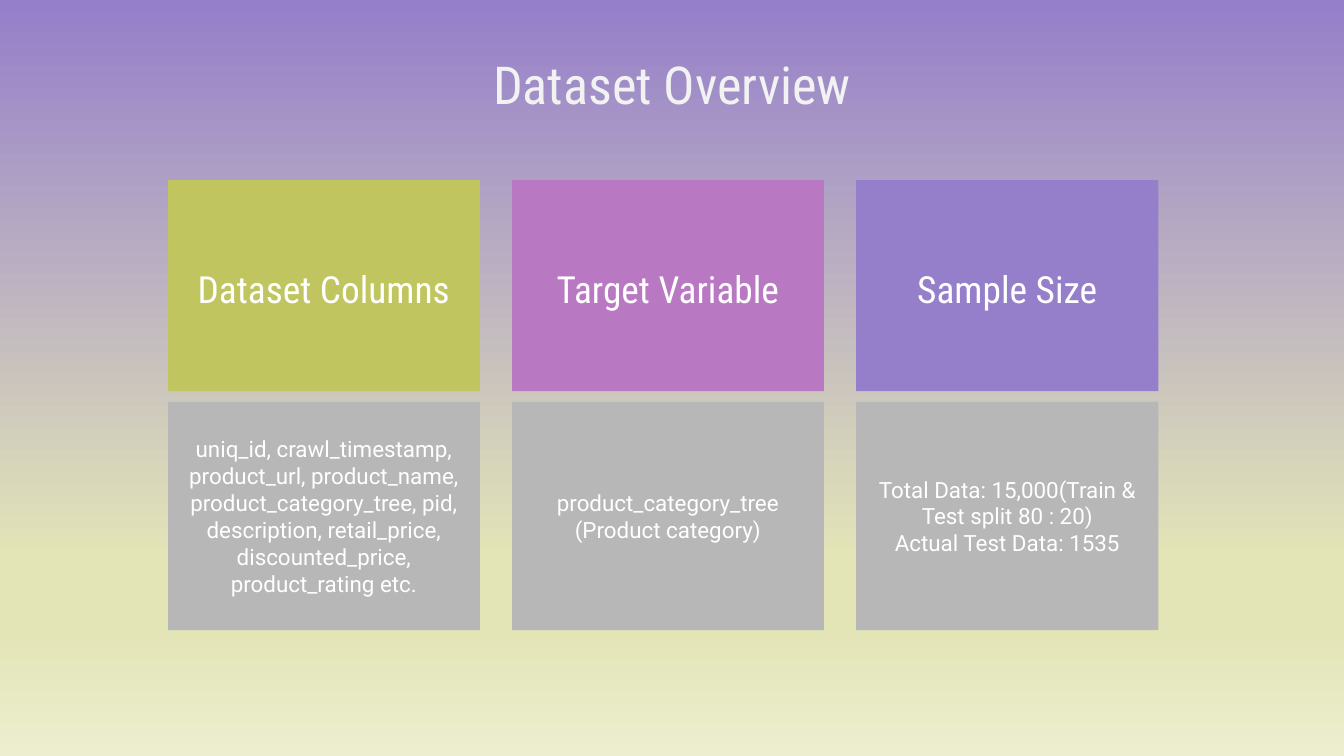
from lxml import etree
from pptx import Presentation
from pptx.dml.color import RGBColor
from pptx.enum.shapes import MSO_SHAPE
from pptx.enum.text import MSO_ANCHOR, PP_ALIGN
from pptx.oxml.ns import qn
from pptx.util import Inches, Pt

RECTANGLE = MSO_SHAPE.RECTANGLE
MIDDLE = MSO_ANCHOR.MIDDLE
CENTER = PP_ALIGN.CENTER

WIDTH = 10
HEIGHT = WIDTH * 9 / 16
HEADING_FONT, BODY_FONT = "Roboto Condensed", "Roboto"
WHITE, GRAY, TITLE_COLOR = "FFFFFF", "B7B7B7", "F2F2F2"
GRADIENT = [(0, "957FCA"), (74, "E3E5B7"), (83, "E3E5B7"), (100, "ECEECF")]

TITLE = "Dataset Overview"
COLUMNS = [
    ("Dataset Columns", "C0C55F", 2.32,
     ["uniq_id, crawl_timestamp, product_url, product_name, "
      "product_category_tree, pid, description, retail_price, "
      "discounted_price, product_rating etc."]),
    ("Target Variable", "B878C2", 2.32,
     ["product_category_tree (Product category)"]),
    ("Sample Size", "957FCA", 2.25,
     ["Total Data: 15,000(Train & Test split 80 : 20)",
      "Actual Test Data: 1535"]),
]

LEFT, PITCH = 1.25, 2.56
HEADER_TOP, HEADER_HEIGHT = 1.34, 1.57
DETAIL_TOP, DETAIL_HEIGHT = 2.99, 1.7
HEADING_TOP, HEADING_HEIGHT = 1.78, 0.73
BODY_TOP, BODY_HEIGHT = 3.22, 1.24


def color(value):
    return RGBColor.from_string(value)


def paint_background(slide):
    fill = slide.background.fill
    fill.gradient()
    fill.gradient_angle = 270
    stops = slide.element.find(".//" + qn("a:gsLst"))
    for stop in list(stops):
        stops.remove(stop)
    for percent, value in GRADIENT:
        stop = etree.SubElement(stops, qn("a:gs"), pos=str(percent * 1000))
        etree.SubElement(stop, qn("a:srgbClr"), val=value)


def add_block(slide, left, top, width, height, value):
    shape = slide.shapes.add_shape(
        RECTANGLE, Inches(left), Inches(top), Inches(width), Inches(height))
    shape.shadow.inherit = False
    shape.fill.solid()
    shape.fill.fore_color.rgb = color(value)
    shape.line.fill.background()


def add_text(slide, left, top, width, height, lines, size, font, value=WHITE):
    box = slide.shapes.add_textbox(
        Inches(left), Inches(top), Inches(width), Inches(height))
    frame = box.text_frame
    frame.word_wrap = True
    frame.vertical_anchor = MIDDLE
    frame.margin_left = frame.margin_right = Inches(0.1)
    frame.margin_top = frame.margin_bottom = Inches(0.1)
    frame.text = "\n".join(lines)
    for paragraph in frame.paragraphs:
        paragraph.alignment = CENTER
        paragraph.font.size = Pt(size)
        paragraph.font.name = font
        paragraph.font.color.rgb = color(value)


def main():
    presentation = Presentation()
    presentation.slide_width = Inches(WIDTH)
    presentation.slide_height = Inches(HEIGHT)
    slide = presentation.slides.add_slide(presentation.slide_layouts[6])
    paint_background(slide)
    add_text(slide, 2.75, 0.45, 4.5, 0.35, [TITLE], 28, HEADING_FONT, TITLE_COLOR)

    for index, (heading, header_color, width, details) in enumerate(COLUMNS):
        left = LEFT + index * PITCH
        add_block(slide, left, HEADER_TOP, width, HEADER_HEIGHT, header_color)
        add_text(slide, left, HEADING_TOP, width, HEADING_HEIGHT,
                 [heading], 20, HEADING_FONT)
        add_block(slide, left, DETAIL_TOP, width, DETAIL_HEIGHT, GRAY)
        add_text(slide, left, BODY_TOP, width, BODY_HEIGHT,
                 details, 12, BODY_FONT)

    presentation.save("out.pptx")


if __name__ == "__main__":
    main()
